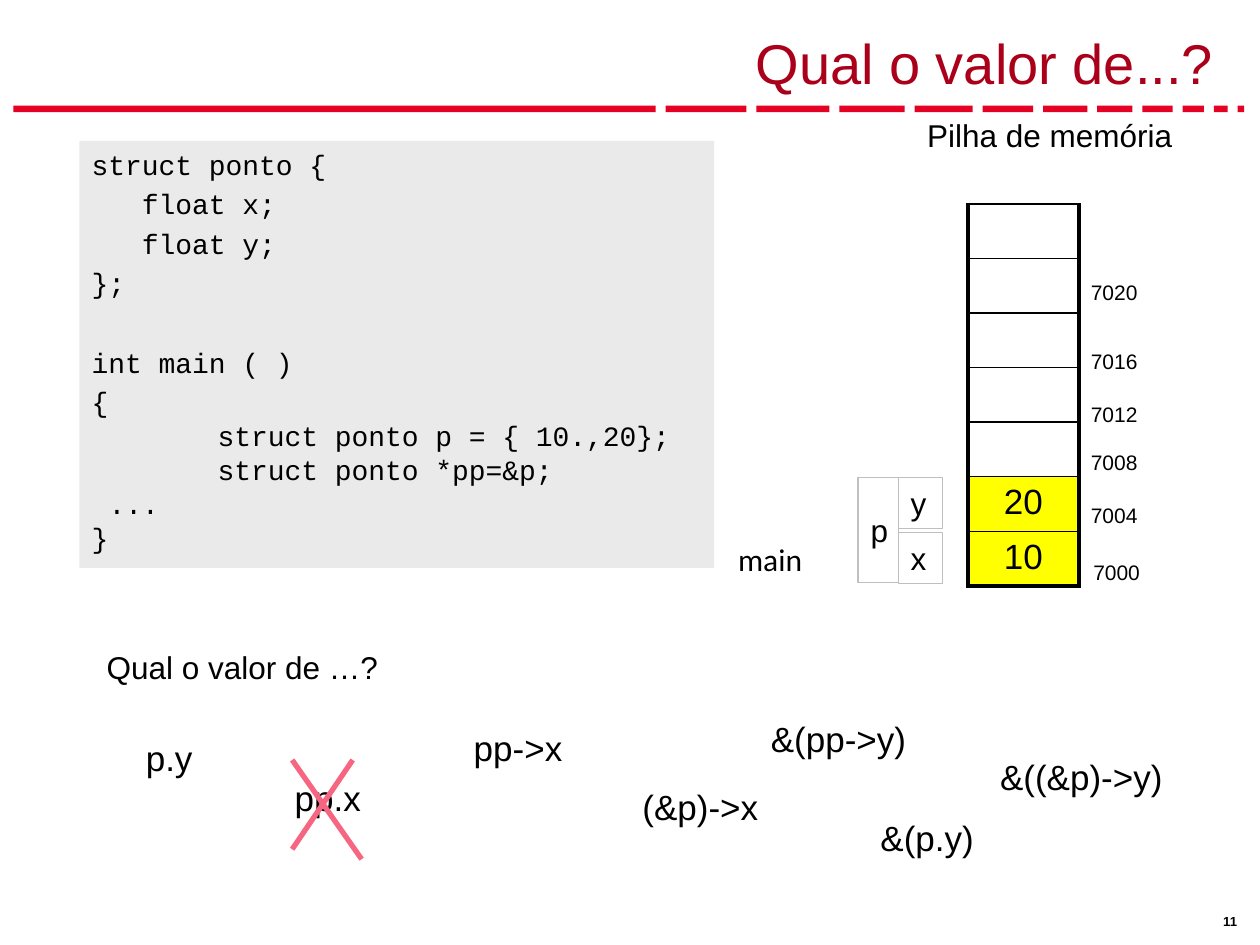
"""Build the slide about structs, pointers and the memory stack."""
from dataclasses import dataclass

from lxml import etree
from pptx import Presentation
from pptx.dml.color import RGBColor
from pptx.enum.shapes import MSO_CONNECTOR, MSO_SHAPE
from pptx.enum.text import MSO_ANCHOR, PP_ALIGN
from pptx.oxml.ns import qn
from pptx.util import Cm, Pt

RECT = MSO_SHAPE.RECTANGLE
STRAIGHT = MSO_CONNECTOR.STRAIGHT
TOP, MIDDLE, BOTTOM = MSO_ANCHOR.TOP, MSO_ANCHOR.MIDDLE, MSO_ANCHOR.BOTTOM
CENTER, RIGHT = PP_ALIGN.CENTER, PP_ALIGN.RIGHT

BLACK, RED, DARK_RED, PINK = "000000", "E40123", "AA001A", "F76681"
GRAY, LIGHT_GRAY, YELLOW = "BFBFBF", "EAEAEA", "FFFF00"


@dataclass
class Label:
    text: str
    x: float
    y: float
    w: float
    h: float = 1.02
    size: float = 18
    font: str = "Arial"
    bold: bool = False
    border: str = ""
    anchor: MSO_ANCHOR = TOP
    inset: float = 0.25


@dataclass
class CodeLine:
    text: str
    before: float = 0
    indent: float = 0


DASH_WIDTHS = [12.95, 1.63, 1.47, 1.32, 1.17, 1.02, 0.89, 0.71, 0.61, 0.43, 0.28, 0.13]
DASH_START, DASH_GAP = 0.27, 0.2

CODE = [
    CodeLine("struct ponto {", 3.2),
    CodeLine("float x;", 3.2, 1.01),
    CodeLine("float y;", 3.2, 1.01),
    CodeLine("};", 3.2),
    CodeLine("int main ( )", 25.8),
    CodeLine("{", 3.2),
    CodeLine("struct ponto p = { 10.,20};", indent=2.54),
    CodeLine("struct ponto *pp=&p;", indent=2.54),
    CodeLine("...", indent=0.34),
    CodeLine("}"),
]

STACK = ["", "", "", "", "", "20", "10"]

LABELS = [
    Label("Pilha de memória", 18.44, 2.21, 5.46),
    Label("x", 18.11, 10.74, 0.89, border=GRAY),
    Label("y", 18.11, 9.63, 0.89, border=GRAY),
    Label("main", 14.63, 10.77, 1.83, font="Calibri"),
    Label("p", 17.3, 9.63, 0.81, 2.11, border=GRAY, anchor=MIDDLE),
    Label("Qual o valor de …?", 1.9, 12.93, 5.97),
    Label("11", 24.46, 18.29, 0.84, 0.51, 7.5, bold=True, inset=0.2),
]

ADDRESSES = [
    ("7000", 21.79, 11.15), ("7004", 21.74, 10.01), ("7008", 21.74, 8.94),
    ("7012", 21.74, 7.98), ("7016", 21.74, 6.91), ("7020", 21.74, 5.51),
]

EXPRESSIONS = [
    ("p.y", 2.69, 14.73, 1.78), ("pp.x", 5.69, 15.52, 2.21),
    ("pp->x", 9.3, 14.53, 2.62), ("(&p)->x", 12.7, 15.72, 3.48),
    ("&(pp->y)", 15.29, 14.33, 3.89), ("&(p.y)", 17.5, 16.33, 3.05),
    ("&((&p)->y)", 19.91, 15.11, 4.75),
]

CROSS = [(7.11, 15.32, 5.89, 17.12), (5.89, 15.32, 7.29, 17.32)]


def rgb(color: str) -> RGBColor:
    return RGBColor.from_string(color)


def style(p, size: float, font: str = "Arial", color: str = BLACK, bold: bool = False) -> None:
    p.font.size, p.font.name, p.font.bold = Pt(size), font, bold
    p.font.color.rgb = rgb(color)


def add_rect(s, x: float, y: float, w: float, h: float, fill: str):
    sp = s.shapes.add_shape(RECT, Cm(x), Cm(y), Cm(w), Cm(h))
    sp.shadow.inherit = False
    sp.fill.solid()
    sp.fill.fore_color.rgb = rgb(fill)
    sp.line.fill.background()
    return sp


def add_title(s, text: str) -> None:
    sp = s.shapes.title
    sp.left, sp.top, sp.width, sp.height = Cm(0.79), Cm(0.2), Cm(23.93), Cm(1.85)
    tf = sp.text_frame
    tf.text = text
    tf.vertical_anchor = BOTTOM
    p = tf.paragraphs[0]
    p.alignment = RIGHT
    style(p, 32, color=DARK_RED)


def add_dashes(s) -> None:
    x = DASH_START
    for width in DASH_WIDTHS:
        add_rect(s, x, 2.13, width, 0.13, RED)
        x += width + DASH_GAP


def add_code(s, lines: list[CodeLine]) -> None:
    tf = add_rect(s, 1.6, 2.84, 12.8, 8.61, LIGHT_GRAY).text_frame
    tf.word_wrap = True
    tf.vertical_anchor = TOP
    for i, line in enumerate(lines):
        p = tf.add_paragraph() if i else tf.paragraphs[0]
        p.text = line.text
        p.alignment = PP_ALIGN.LEFT
        p.space_before, p.line_spacing = Pt(line.before), Pt(19.4)
        p._p.get_or_add_pPr().set("marL", str(Cm(line.indent)))
        style(p, 16, "Courier New")


def add_label(s, label: Label) -> None:
    sp = s.shapes.add_textbox(Cm(label.x), Cm(label.y), Cm(label.w), Cm(label.h))
    if label.border:
        sp.line.color.rgb = rgb(label.border)
        sp.line.width = Pt(0.75)
    tf = sp.text_frame
    tf.word_wrap = False
    tf.vertical_anchor = label.anchor
    tf.margin_left = tf.margin_right = Cm(label.inset)
    tf.text = label.text
    style(tf.paragraphs[0], label.size, label.font, bold=label.bold)


def set_borders(cell, widths: dict[str, float]) -> None:
    tc_pr = cell._tc.get_or_add_tcPr()
    for i, (side, width) in enumerate(widths.items()):
        ln = etree.Element(qn(f"a:ln{side}"), w=str(Pt(width)))
        fill = etree.SubElement(ln, qn("a:solidFill"))
        etree.SubElement(fill, qn("a:srgbClr"), val=BLACK)
        tc_pr.insert(i, ln)


def add_stack(s, values: list[str]) -> None:
    n = len(values)
    table = s.shapes.add_table(n, 1, Cm(19.51), Cm(4.11), Cm(2.24), Cm(1.1 * n)).table
    table.first_row = table.horz_banding = False
    for i, value in enumerate(values):
        cell = table.cell(i, 0)
        if value:
            cell.fill.solid()
            cell.fill.fore_color.rgb = rgb(YELLOW)
            cell.text = value
            p = cell.text_frame.paragraphs[0]
            p.alignment = CENTER
            style(p, 20)
        else:
            cell.fill.background()
        set_borders(cell, {"L": 2.25, "R": 2.25, "T": 1, "B": 2.25 if i == n - 1 else 1})


def add_line(s, x1: float, y1: float, x2: float, y2: float) -> None:
    line = s.shapes.add_connector(STRAIGHT, Cm(x1), Cm(y1), Cm(x2), Cm(y2))
    line.line.color.rgb = rgb(PINK)
    line.line.width = Pt(3)
    etree.SubElement(line._element.spPr, qn("a:effectLst"))


def main() -> None:
    prs = Presentation()
    prs.slide_width, prs.slide_height = Cm(25.4), Cm(19.05)
    s = prs.slides.add_slide(prs.slide_layouts[5])
    add_title(s, "Qual o valor de...?")
    add_dashes(s)
    add_code(s, CODE)
    add_stack(s, STACK)
    addresses = [Label(*a, w=1.45, h=0.76, size=12) for a in ADDRESSES]
    expressions = [Label(*e, h=1.09, size=20) for e in EXPRESSIONS]
    for label in LABELS + addresses + expressions:
        add_label(s, label)
    for ends in CROSS:
        add_line(s, *ends)
    prs.save("out.pptx")


if __name__ == "__main__":
    main()
